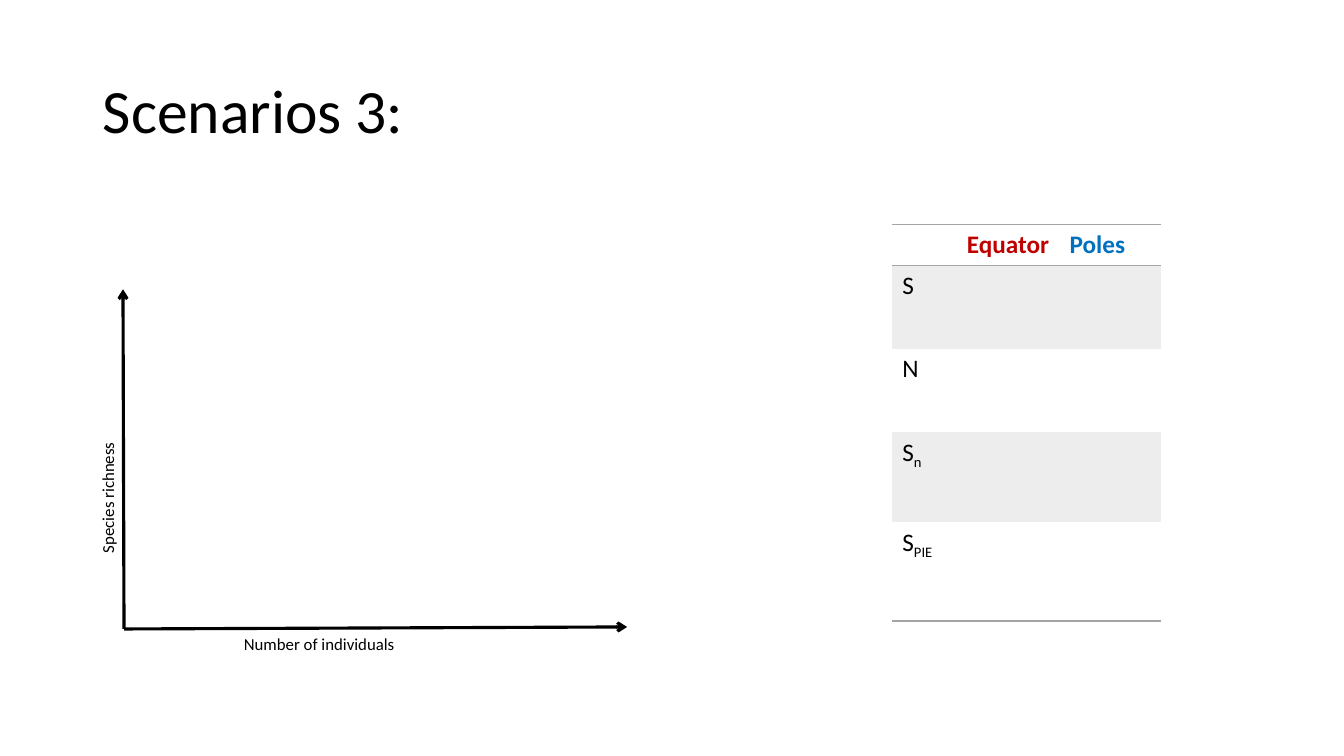
"""Build the "Scenarios 3" slide: empty axes beside a table comparing equator and poles."""
import lxml.etree
import pptx
import pptx.dml.color
import pptx.enum.shapes
import pptx.enum.text
import pptx.oxml.ns
import pptx.util

Inches = pptx.util.Inches
COLORS = {"text": "000000", "equator": "C00000", "poles": "0070C0",
          "rule": "A5A5A5", "band": "EDEDED"}
FONT = "Calibri"
NO_STYLE = "{2D5ABB26-0587-4C30-8999-92F81FD0307C}"

TITLE = "Scenarios 3:"
TITLE_BOX = (0.92, 0.4, 11.5, 1.45)
ORIGIN = (1.23, 6.24)
AXIS_TIPS = [(1.22, 2.87), (6.22, 6.22)]
AXIS_LABELS = [("Number of individuals", (2.32, 6.24, 1.71, 0.3), 0),
               ("Species richness", (0.41, 4.78, 1.31, 0.3), 270)]
HEADINGS = [("Equator", "equator"), ("Poles", "poles")]
MEASURES = [("S", ""), ("N", ""), ("S", "n"), ("S", "PIE")]
TABLE_BOX = (8.85, 2.23, 2.67, 3.92)
COLUMN_WIDTHS = [0.64, 1.02, 1.01]
ROW_HEIGHTS = [0.38, 0.83, 0.83, 0.89, 0.98]


def rgb(name):
    return pptx.dml.color.RGBColor.from_string(COLORS[name])


def add_text(para, text, size=18, color="text", bold=False, baseline=0):
    span = para.add_run()
    span.text = text
    span.font.name = FONT
    span.font.size = pptx.util.Pt(size)
    span.font.bold = bold
    span.font.color.rgb = rgb(color)
    if baseline:
        span._r.get_or_add_rPr().set("baseline", str(baseline * 1000))


def add_child(parent, tag, **attributes):
    return lxml.etree.SubElement(parent, pptx.oxml.ns.qn(tag), attributes)


def add_title(page):
    title = page.shapes.title
    title.left, title.top, title.width, title.height = map(Inches, TITLE_BOX)
    frame = title.text_frame
    frame.auto_size = pptx.enum.text.MSO_AUTO_SIZE.NONE
    frame.vertical_anchor = pptx.enum.text.MSO_ANCHOR.MIDDLE
    para = frame.paragraphs[0]
    para.alignment = pptx.enum.text.PP_ALIGN.LEFT
    para.line_spacing = 0.9
    add_text(para, TITLE, size=44)


def add_axes(page):
    for tip in AXIS_TIPS:
        axis = page.shapes.add_connector(
            pptx.enum.shapes.MSO_CONNECTOR.STRAIGHT, *map(Inches, tip + ORIGIN))
        axis.line.color.rgb = rgb("text")
        axis.line.width = pptx.util.Pt(2.25)
        add_child(axis.line._get_or_add_ln(), "a:headEnd", type="arrow")
        add_child(axis._element.spPr, "a:effectLst")
    for text, place, rotation in AXIS_LABELS:
        box = page.shapes.add_textbox(*map(Inches, place))
        box.rotation = rotation
        box.text_frame.word_wrap = False
        box.text_frame.auto_size = pptx.enum.text.MSO_AUTO_SIZE.SHAPE_TO_FIT_TEXT
        add_text(box.text_frame.paragraphs[0], text, size=12)


def add_rule(cell, side):
    line = add_child(cell._tc.get_or_add_tcPr(), side, w=str(pptx.util.Pt(1)))
    add_child(add_child(line, "a:solidFill"), "a:srgbClr", val=COLORS["rule"])


def add_measures(page):
    table = page.shapes.add_table(
        len(ROW_HEIGHTS), len(COLUMN_WIDTHS), *map(Inches, TABLE_BOX)).table
    table.first_row = table.horz_banding = False
    table._tbl.tblPr.find(pptx.oxml.ns.qn("a:tableStyleId")).text = NO_STYLE
    for column, width in zip(table.columns, COLUMN_WIDTHS):
        column.width = Inches(width)
    last = len(ROW_HEIGHTS) - 1
    for index, (row, height) in enumerate(zip(table.rows, ROW_HEIGHTS)):
        row.height = Inches(height)
        for cell in row.cells:
            if index == 0:
                add_rule(cell, "a:lnT")
            if index in (0, last):
                add_rule(cell, "a:lnB")
            if index % 2:
                cell.fill.solid()
                cell.fill.fore_color.rgb = rgb("band")
            else:
                cell.fill.background()
    for column, (heading, color) in enumerate(HEADINGS, start=1):
        para = table.cell(0, column).text_frame.paragraphs[0]
        add_text(para, heading, color=color, bold=True)
    for row, (symbol, subscript) in enumerate(MEASURES, start=1):
        para = table.cell(row, 0).text_frame.paragraphs[0]
        add_text(para, symbol)
        if subscript:
            add_text(para, subscript, baseline=-25)


def main():
    deck = pptx.Presentation()
    deck.slide_width, deck.slide_height = Inches(13.33), Inches(7.5)
    page = deck.slides.add_slide(deck.slide_layouts[5])
    add_title(page)
    add_axes(page)
    add_measures(page)
    deck.save("out.pptx")


if __name__ == "__main__":
    main()
